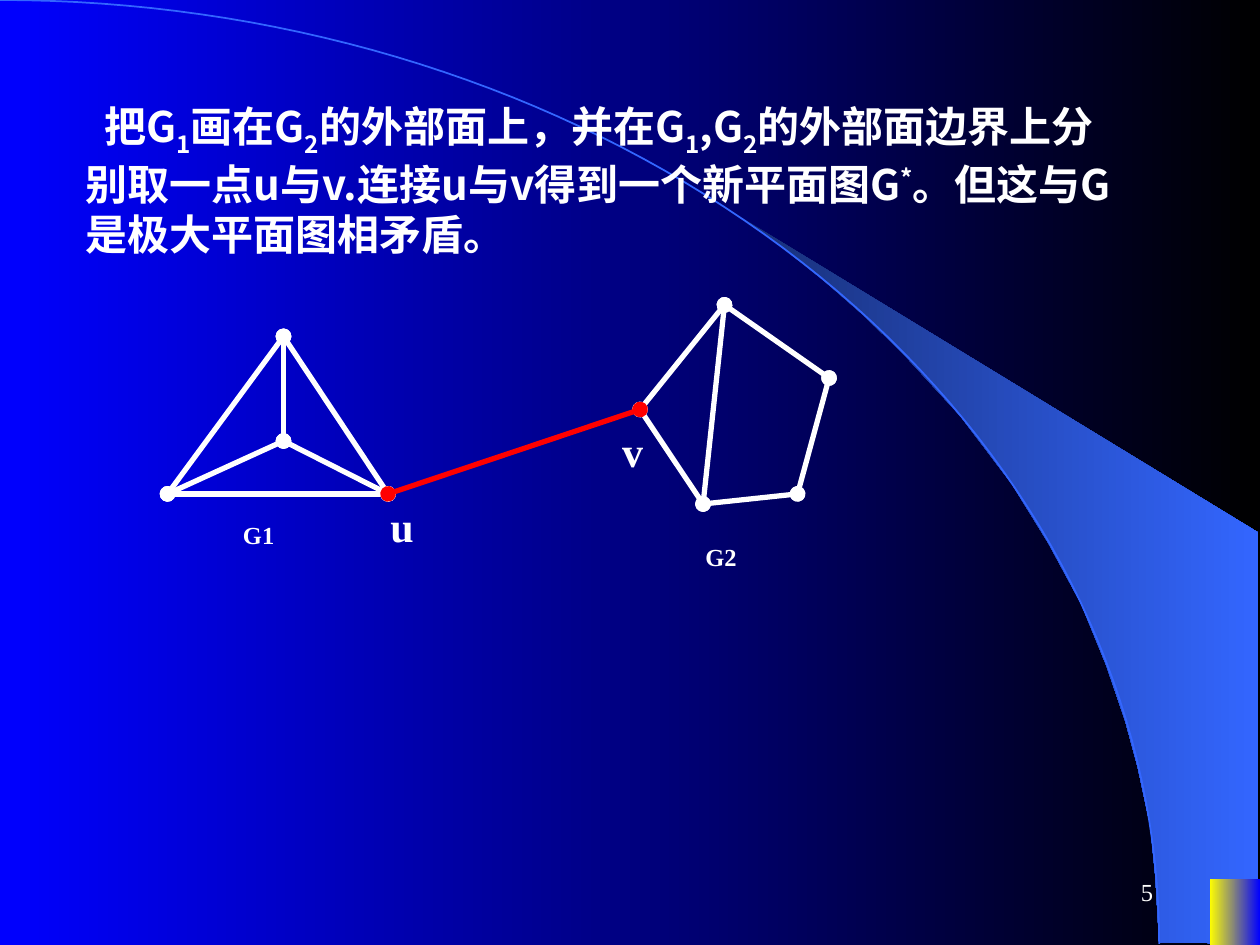
from dataclasses import dataclass
from math import cos, pi, sin

from lxml.etree import SubElement
from pptx import Presentation
from pptx.dml.color import RGBColor
from pptx.enum.shapes import MSO_CONNECTOR, MSO_SHAPE
from pptx.enum.text import MSO_ANCHOR, MSO_AUTO_SIZE, PP_ALIGN
from pptx.oxml.ns import qn
from pptx.util import Inches, Pt


@dataclass(frozen=True)
class Theme:
    white: str = "FFFFFF"
    black: str = "000000"
    blue: str = "0000FF"
    sky: str = "3366FF"
    navy: str = "182F76"
    yellow: str = "FFFF00"
    red: str = "FF0000"
    body_font: str = "Noto Sans CJK SC"
    label_font: str = "Times New Roman"
    large: int = 24
    small: int = 14
    edge_width: int = 3


THEME = Theme()
SUBSCRIPT, SUPERSCRIPT = -25, 30

# Points of the crescent, relative to its box
CRESCENT = [
    (3.31, 5.75), (4.1, 5.76), (4.1, 2.5), (0, 0), (0.35, 0.26), (0.64, 0.49),
    (0.96, 0.77), (1.27, 1.07), (1.73, 1.57), (2.14, 2.11), (2.43, 2.58), (2.69, 3.06),
    (2.89, 3.55), (3.04, 3.99), (3.14, 4.36), (3.24, 4.83), (3.28, 5.23),
]

# Vertices relative to the box of each graph, and edges between them
G1_VERTICES = {"top": (0.92, 0), "centre": (0.92, 0.83), "left": (0, 1.25), "u": (1.75, 1.25)}
G1_EDGES = [("top", "left"), ("top", "u"), ("left", "u"),
            ("top", "centre"), ("centre", "left"), ("centre", "u")]
G2_VERTICES = {"top": (0.67, 0), "v": (0, 0.83), "bottom": (0.5, 1.58),
               "right": (1.5, 0.58), "corner": (1.25, 1.5)}
G2_EDGES = [("top", "v"), ("v", "bottom"), ("top", "right"),
            ("right", "corner"), ("bottom", "corner"), ("top", "bottom")]

STATEMENT = [
    ("把G", 0), ("1", SUBSCRIPT), ("画在G", 0), ("2", SUBSCRIPT),
    ("的外部面上，并在G", 0), ("1", SUBSCRIPT), (",G", 0), ("2", SUBSCRIPT),
    ("的外部面边界上分别取一点u与v.连接u与v得到一个新平面图G", 0), ("*", SUPERSCRIPT),
    ("。但这与G是极大平面图相矛盾。", 0),
]


def color(value):
    return RGBColor.from_string(value)


def set_gradient(fill, start, end):
    """Fill from left to right with two colours."""
    fill.gradient()
    fill.gradient_angle = 0
    for stop, value in zip(fill.gradient_stops, (start, end)):
        stop.color.rgb = color(value)


def add_outline(shapes, points, close):
    start, *rest = [(Inches(x), Inches(y)) for x, y in points]
    builder = shapes.build_freeform(*start)
    builder.add_line_segments(rest, close=close)
    shape = builder.convert_to_shape()
    shape.shadow.inherit = False
    return shape


def add_crescent(shapes, left, top):
    shape = add_outline(shapes, [(left + x, top + y) for x, y in CRESCENT], True)
    set_gradient(shape.fill, THEME.navy, THEME.sky)
    shape.line.fill.background()


def add_arc(shapes, left, top, width, height, steps=72):
    """Draw a quarter ellipse from the top left to the bottom right of the box."""
    angles = [pi / 2 * step / steps for step in range(steps + 1)]
    points = [(left + width * sin(a), top + height * (1 - cos(a))) for a in angles]
    shape = add_outline(shapes, points, False)
    shape.fill.background()
    shape.line.color.rgb = color(THEME.sky)
    shape.line.width = Pt(1)


def add_corner(shapes, *box):
    shape = shapes.add_shape(MSO_SHAPE.RECTANGLE, *map(Inches, box))
    shape.shadow.inherit = False
    set_gradient(shape.fill, THEME.yellow, THEME.blue)
    shape.line.fill.background()


def add_text(shapes, box, runs, size, font, bold=True, wrap=True):
    """Add one paragraph made of (text, baseline) runs and return its text frame."""
    frame = shapes.add_textbox(*map(Inches, box)).text_frame
    frame.word_wrap = wrap
    frame.auto_size = MSO_AUTO_SIZE.SHAPE_TO_FIT_TEXT
    for text, baseline in runs:
        run = frame.paragraphs[0].add_run()
        run.text = text
        run.font.size = Pt(size)
        run.font.bold = bold
        run.font.name = font
        run.font.color.rgb = color(THEME.white)
        properties = run.font._element
        SubElement(properties, qn("a:ea")).set("typeface", font)
        if baseline:
            properties.set("baseline", str(baseline * 1000))
    return frame


def add_statement(shapes, *box):
    frame = add_text(shapes, box, STATEMENT, THEME.large, THEME.body_font)
    paragraph = frame.paragraphs[0]
    paragraph.space_before = Pt(15)
    paragraph._p.get_or_add_pPr().set("indent", str(Inches(0.15)))


def add_page_number(shapes, number, *box):
    frame = add_text(shapes, box, [(number, 0)], THEME.small, THEME.label_font, bold=False)
    frame.auto_size = MSO_AUTO_SIZE.NONE
    frame.vertical_anchor = MSO_ANCHOR.MIDDLE
    frame.paragraphs[0].alignment = PP_ALIGN.RIGHT


def add_edge(shapes, start, end, line_color=THEME.white):
    """Draw an edge with a round vertex at both ends."""
    ends = [Inches(value) for value in (*start, *end)]
    connector = shapes.add_connector(MSO_CONNECTOR.STRAIGHT, *ends)
    connector.line.color.rgb = color(line_color)
    connector.line.width = Pt(THEME.edge_width)
    line = connector.line._get_or_add_ln()
    for tag in ("a:headEnd", "a:tailEnd"):
        SubElement(line, qn(tag)).set("type", "oval")
    SubElement(connector._element.spPr, qn("a:effectLst"))


def add_graph(shapes, left, top, vertices, edges, name, name_offset):
    """Draw a named graph as a group and return its vertices in slide inches."""
    group = shapes.add_group_shape().shapes
    places = {key: (left + x, top + y) for key, (x, y) in vertices.items()}
    for start, end in edges:
        add_edge(group, places[start], places[end])
    box = (left + name_offset[0], top + name_offset[1], 1.02, 0.34)
    add_text(group, box, [(name, 0)], THEME.small, THEME.label_font)
    return places


def add_vertex_label(shapes, text, *box):
    add_text(shapes, box, [(text, 0)], THEME.large, THEME.label_font, wrap=False)


def main():
    presentation = Presentation()
    presentation.slide_width, presentation.slide_height = Inches(10), Inches(7.5)
    slide = presentation.slides.add_slide(presentation.slide_layouts[6])
    shapes = slide.shapes
    set_gradient(slide.background.fill, THEME.blue, THEME.black)

    add_crescent(shapes, 5.89, 1.73)
    add_arc(shapes, 0, 0, 9.2, 7.49)
    add_corner(shapes, 9.6, 6.98, 0.4, 0.52)
    add_page_number(shapes, "5", 7.17, 6.83, 2.08, 0.5)
    add_statement(shapes, 0.58, 0.75, 8.42, 1.36)

    g1 = add_graph(shapes, 1.33, 2.67, G1_VERTICES, G1_EDGES, "G1", (0.5, 1.41))
    g2 = add_graph(shapes, 5.08, 2.42, G2_VERTICES, G2_EDGES, "G2", (0.42, 1.83))
    add_edge(shapes, g1["u"], g2["v"], THEME.red)
    add_vertex_label(shapes, "v", 4.84, 3.33, 0.36, 0.5)
    add_vertex_label(shapes, "u", 3, 3.92, 0.38, 0.5)

    presentation.save("out.pptx")


if __name__ == "__main__":
    main()
